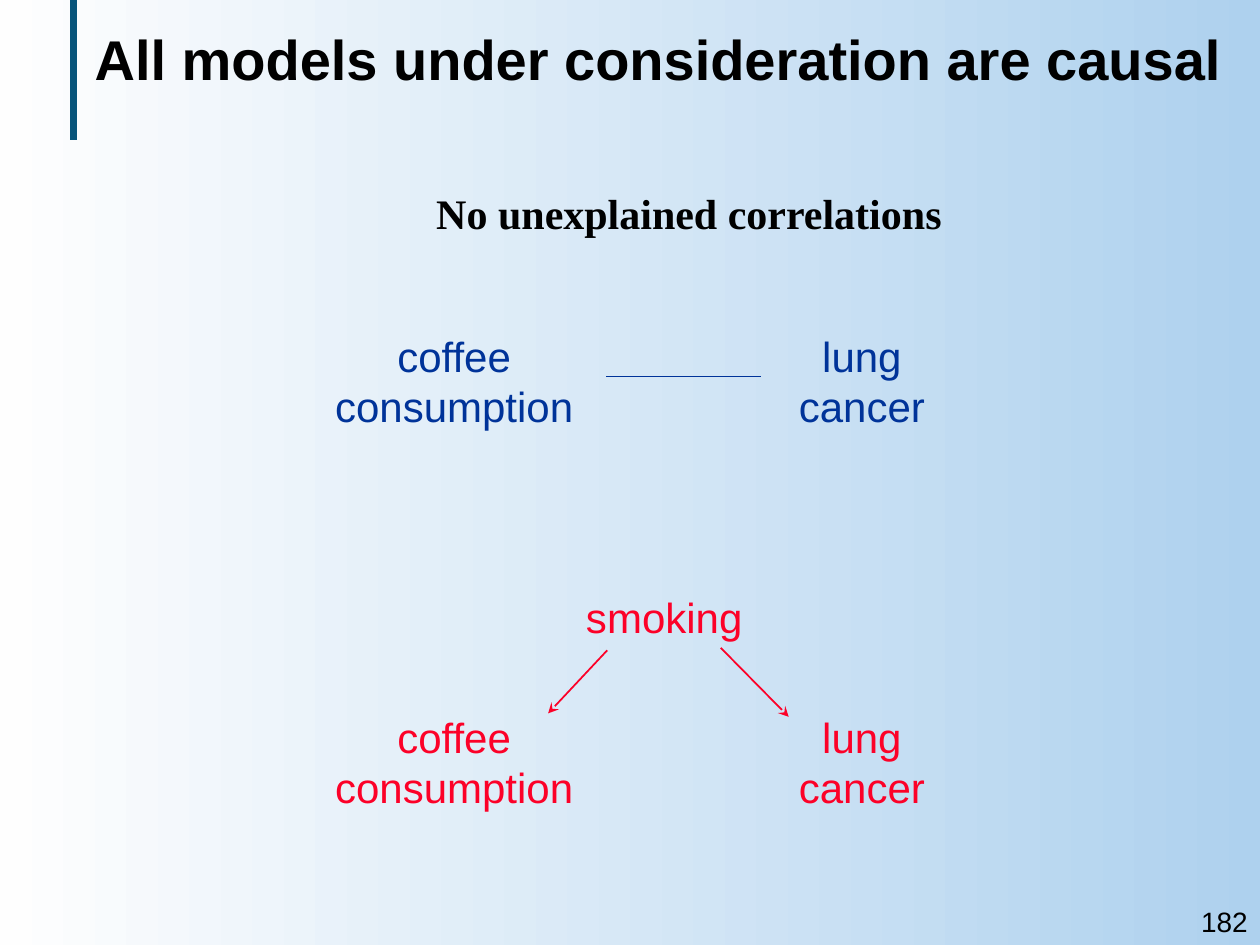
from lxml.etree import SubElement
from pptx import Presentation
from pptx.dml.color import RGBColor
from pptx.enum.shapes import MSO_CONNECTOR as Connector
from pptx.enum.text import MSO_ANCHOR as Anchor, PP_ALIGN as Align
from pptx.oxml.ns import qn
from pptx.util import Cm, Pt

COLORS = {
    "black": "000000",
    "blue": "003399",
    "red": "FC0128",
    "bar": "07547A",
    "pale": "FEFEFE",
    "sky": "AED1EE",
}


def add_text(shapes, box, lines, color, size=24, name="Arial", bold=False,
             align=Align.CENTER, **frame_format):
    shape = shapes.add_textbox(*map(Cm, box))
    frame = shape.text_frame
    for key, value in {"word_wrap": False, **frame_format}.items():
        setattr(frame, key, value)
    frame.text = "\n".join(lines)
    for paragraph in frame.paragraphs:
        paragraph.alignment = align
        for key, value in {"size": Pt(size), "name": name, "bold": bold}.items():
            setattr(paragraph.font, key, value)
        paragraph.font.color.rgb = RGBColor.from_string(COLORS[color])


def add_line(shapes, ends, color, width=1, arrow=False):
    connector = shapes.add_connector(Connector.STRAIGHT, *map(Cm, ends))
    connector.line.width = Pt(width)
    connector.line.color.rgb = RGBColor.from_string(COLORS[color])
    if arrow:
        SubElement(connector.line._get_or_add_ln(), qn("a:tailEnd"), type="stealth")
    SubElement(connector._element.spPr, qn("a:effectLst"))


presentation = Presentation()
presentation.slide_width, presentation.slide_height = Cm(25.4), Cm(19.05)
slide = presentation.slides.add_slide(presentation.slide_layouts[6])

background = slide.background.fill
background.gradient()
background.gradient_angle = 0
for stop, color in zip(background.gradient_stops, ("pale", "sky")):
    stop.color.rgb = RGBColor.from_string(COLORS[color])

add_line(slide.shapes, (1.48, 0, 1.48, 2.82), "bar", width=4)
add_text(slide.shapes, (1.35, 0, 24.05, 2.34),
         ["All models under consideration are causal"], "black", size=32,
         bold=True, align=Align.LEFT, word_wrap=True,
         vertical_anchor=Anchor.MIDDLE, margin_left=Cm(0.56))
add_text(slide.shapes, (8.53, 3.66, 10.72, 1.27), ["No unexplained correlations"],
         "black", name="Times New Roman", bold=True, vertical_anchor=Anchor.MIDDLE)

causal_model = slide.shapes.add_group_shape()
for shapes, top, color in ((slide.shapes, 6.53, "blue"),
                           (causal_model.shapes, 14.22, "red")):
    add_text(shapes, (6.5, top, 5.31, 2.29), ["coffee", "consumption"], color)
    add_text(shapes, (15.85, top, 3.05, 2.29), ["lung", "cancer"], color)

add_line(slide.shapes, (12.22, 7.59, 15.34, 7.59), "blue")
add_text(causal_model.shapes, (11.56, 11.79, 3.66, 1.27), ["smoking"], "red")
for ends in ((12.24, 13.11, 11.05, 14.38), (14.53, 13.06, 15.9, 14.45)):
    add_line(causal_model.shapes, ends, "red", arrow=True)

add_text(slide.shapes, (22.83, 18.11, 2.57, 0.94), ["182"], "black", size=16,
         align=Align.RIGHT, word_wrap=True, vertical_anchor=Anchor.MIDDLE)

presentation.save("out.pptx")
